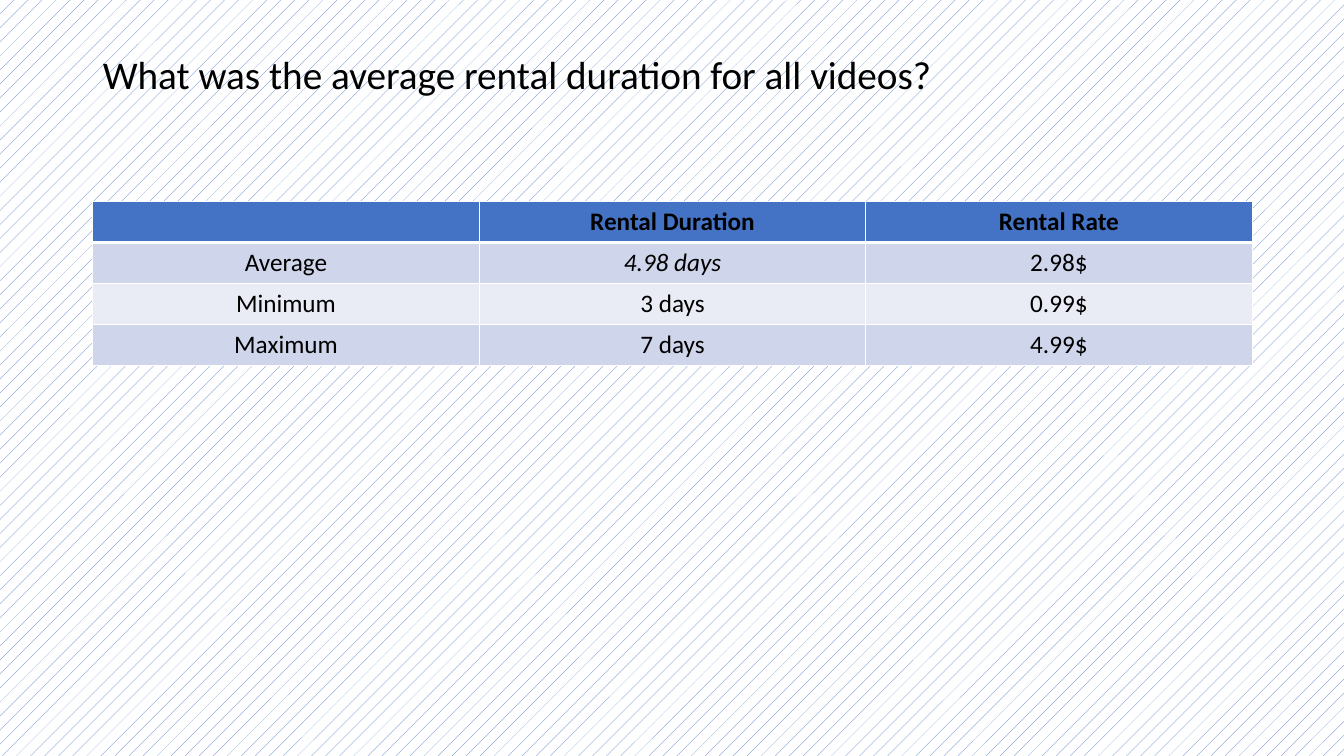
from dataclasses import dataclass

from lxml.etree import SubElement
from pptx import Presentation
from pptx.dml.color import RGBColor
from pptx.enum.dml import MSO_PATTERN
from pptx.enum.text import MSO_ANCHOR, PP_ALIGN
from pptx.oxml.ns import qn
from pptx.util import Inches, Pt


@dataclass(frozen=True)
class Theme:
    font: str = "Calibri"
    title_size: int = 28
    table_size: int = 18
    text: str = "000000"
    accent: str = "4472C4"
    white: str = "FFFFFF"
    bands: tuple = ("CFD5EA", "E9EBF5")
    thin_line: int = 1
    header_line: int = 3


THEME = Theme()
RENTAL_ROWS = (
    ("", "Rental Duration", "Rental Rate"),
    ("Average", "4.98 days", "2.98$"),
    ("Minimum", "3 days", "0.99$"),
    ("Maximum", "7 days", "4.99$"),
)
EMPHASIZED_VALUE = "4.98 days"


def set_font(paragraph, size, bold=False, italic=False):
    font = paragraph.font
    font.name = THEME.font
    font.size = Pt(size)
    font.bold = bold
    font.italic = italic
    font.color.rgb = RGBColor.from_string(THEME.text)


def set_background(slide):
    fill = slide.background.fill
    fill.patterned()
    fill.pattern = MSO_PATTERN.PERCENT_5
    fill.fore_color.rgb = RGBColor.from_string(THEME.accent)
    fill.back_color.rgb = RGBColor.from_string(THEME.white)


def set_title(slide, text):
    title = slide.shapes.title
    title.left, title.top = Inches(0.92), Inches(0.4)
    title.width, title.height = Inches(11.5), Inches(1.45)
    frame = title.text_frame
    frame.text = text
    frame.word_wrap = True
    frame.vertical_anchor = MSO_ANCHOR.TOP
    frame.margin_top = Inches(0.15)
    paragraph = frame.paragraphs[0]
    paragraph.alignment = PP_ALIGN.LEFT
    paragraph.line_spacing = 0.9
    set_font(paragraph, THEME.title_size)


def set_borders(cell, top, bottom):
    """Draw white borders; top and bottom are widths in points."""
    properties = cell._tc.get_or_add_tcPr()
    widths = {"L": THEME.thin_line, "R": THEME.thin_line, "T": top, "B": bottom}
    for side, width in widths.items():
        line = SubElement(properties, qn(f"a:ln{side}"), w=str(Pt(width)))
        fill = SubElement(line, qn("a:solidFill"))
        SubElement(fill, qn("a:srgbClr"), val=THEME.white)


def format_cell(cell, text, row_index):
    is_header = row_index == 0
    set_borders(
        cell,
        top=THEME.header_line if row_index == 1 else THEME.thin_line,
        bottom=THEME.header_line if is_header else THEME.thin_line,
    )
    color = THEME.accent if is_header else THEME.bands[(row_index - 1) % 2]
    cell.fill.solid()
    cell.fill.fore_color.rgb = RGBColor.from_string(color)
    cell.text = text
    paragraph = cell.text_frame.paragraphs[0]
    paragraph.alignment = PP_ALIGN.CENTER
    set_font(paragraph, THEME.table_size, is_header, text == EMPHASIZED_VALUE)


def add_table(slide, rows):
    table = slide.shapes.add_table(
        len(rows), len(rows[0]),
        Inches(0.92), Inches(2), Inches(11.5), Inches(1.62),
    ).table
    for row_index, values in enumerate(rows):
        for column_index, text in enumerate(values):
            format_cell(table.cell(row_index, column_index), text, row_index)


def main():
    presentation = Presentation()
    presentation.slide_width = Inches(13.33)
    presentation.slide_height = Inches(7.5)
    title_only = presentation.slide_layouts[5]
    slide = presentation.slides.add_slide(title_only)
    set_background(slide)
    set_title(slide, "What was the average rental duration for all videos?")
    add_table(slide, RENTAL_ROWS)
    presentation.save("out.pptx")


if __name__ == "__main__":
    main()
